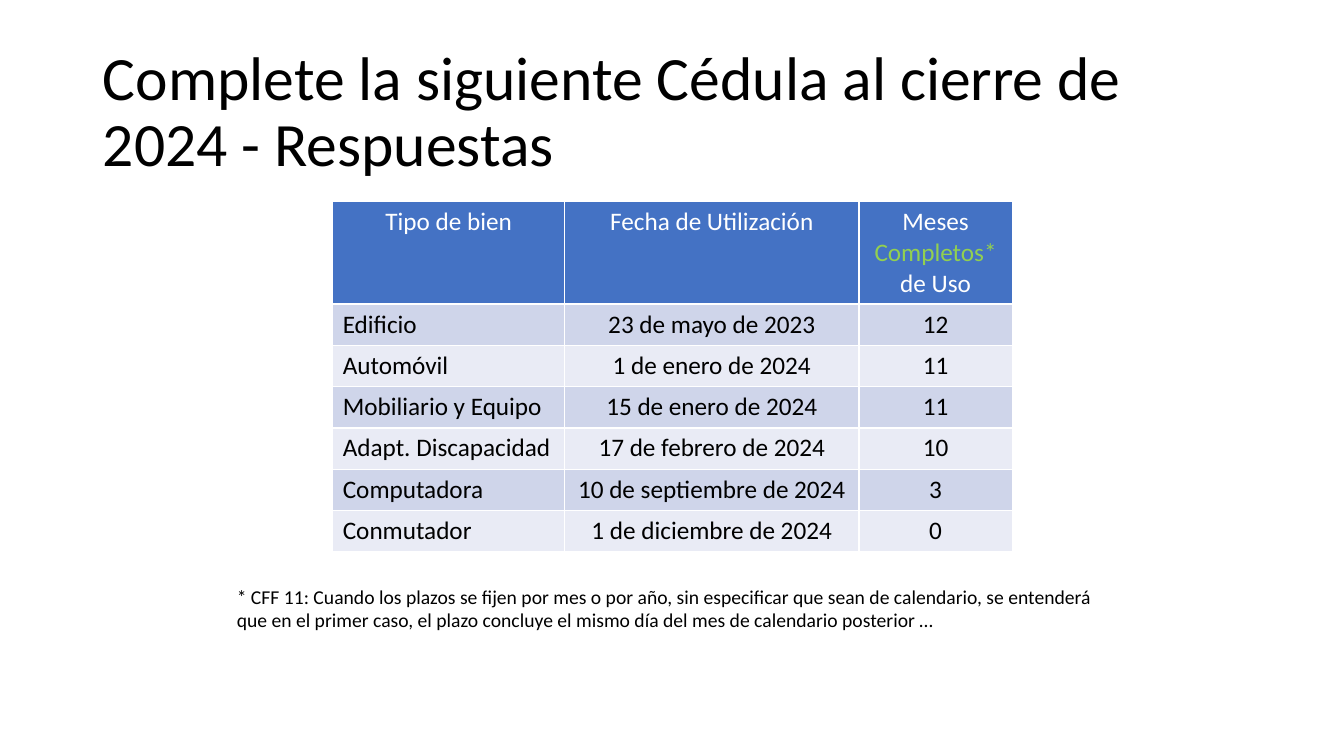
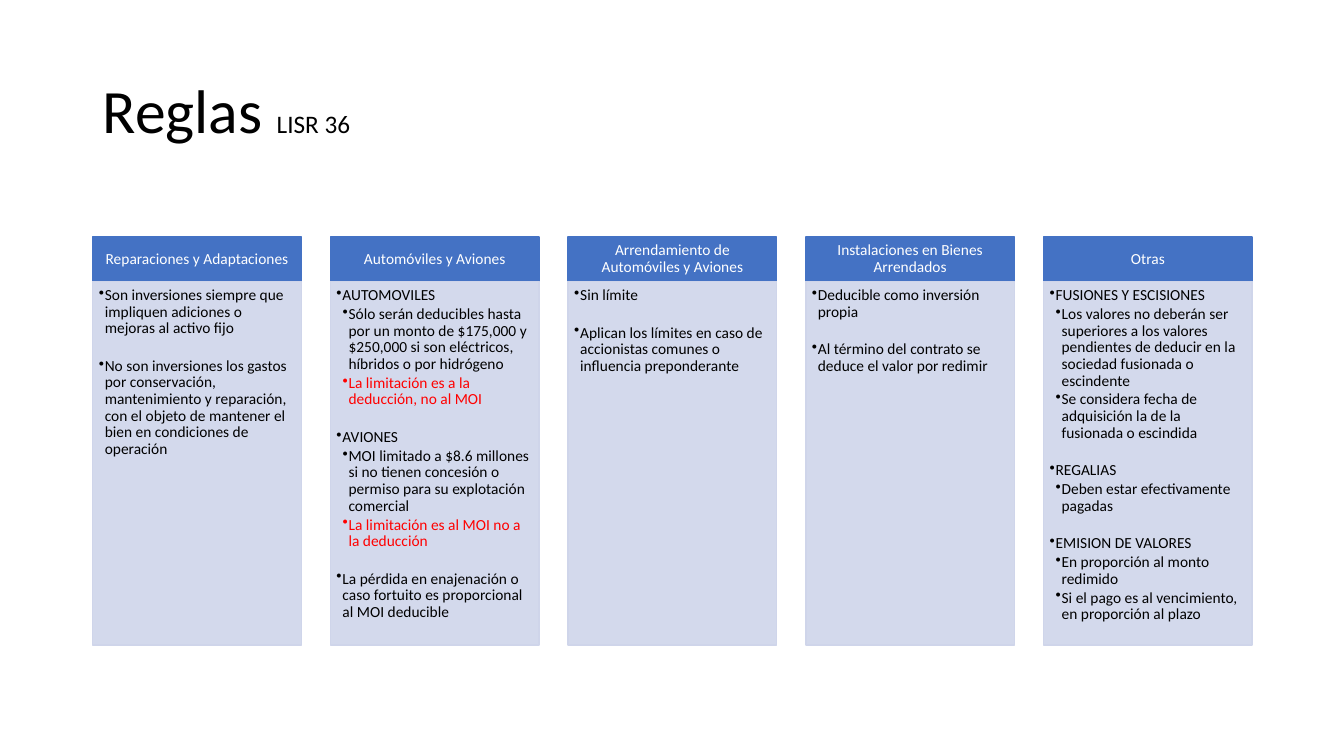
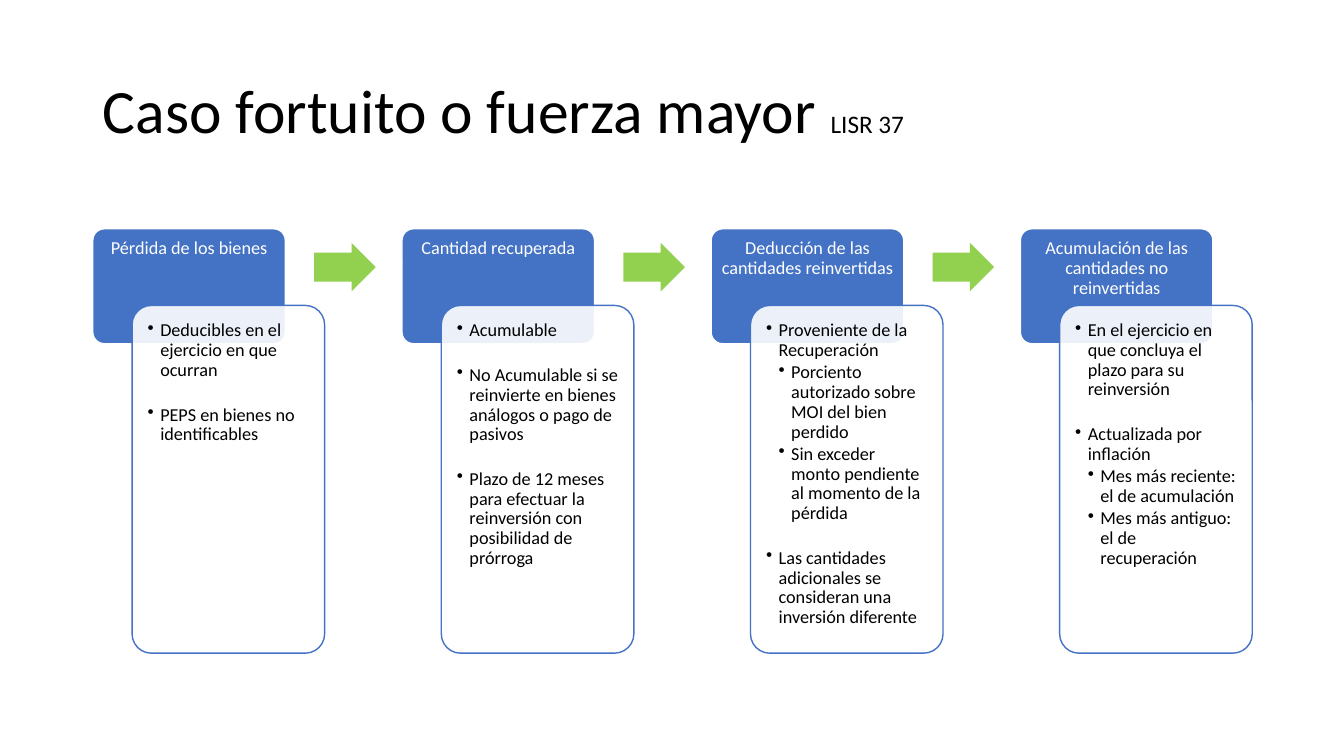
from dataclasses import dataclass
from typing import Any, Iterator

from lxml import etree
from pptx import Presentation
from pptx import util as u
from pptx.dml.color import RGBColor
from pptx.enum import shapes, text
from pptx.oxml.ns import qn


@dataclass(frozen=True)
class Theme:
    font: str = "Calibri"
    blue: str = "4472C4"
    band_dark: str = "CFD5EA"
    band_light: str = "E9EBF5"
    green: str = "92D050"
    red: str = "FF0000"
    white: str = "FFFFFF"
    black: str = "000000"
    title: float = 44
    body: float = 18
    note: float = 14
    step: float = 13
    rule: float = 11
    panel_opacity: int = 90


THEME = Theme()
SLIDE_W, SLIDE_H = 13.33, 7.5
MARGIN, CONTENT_W = 0.92, 11.5


@dataclass(frozen=True)
class Box:
    left: float
    top: float
    width: float
    height: float

    def emu(self) -> tuple[int, ...]:
        return tuple(u.Inches(v) for v in (self.left, self.top, self.width, self.height))


@dataclass(frozen=True)
class Run:
    text: str
    size: float
    color: str = THEME.black


@dataclass(frozen=True)
class Item:
    text: str
    level: int = 1
    opens_group: bool = False
    color: str = THEME.black


@dataclass(frozen=True)
class Topic:
    heading: str
    items: tuple[Item, ...]


@dataclass(frozen=True)
class ListStyle:
    """Type size and indent step, with point gaps after items and before groups."""
    size: float
    indent: float
    after: float
    group_gap: float


RULE_LIST = ListStyle(THEME.rule, 0.06, 1.65, 13.2)
STEP_LIST = ListStyle(THEME.step, 0.125, 1.95, 16)

TITLE_BOX = Box(MARGIN, 0.4, CONTENT_W, 1.45)
TABLE_BOX = Box(3.3, 2, 6.74, 3.46)
NOTE_BOX = Box(2.25, 5.75, 8.82, 0.57)
TABLE_COLUMNS = (2.3, 2.92, 1.52)
HEADER_ROW, ASSET_ROW = 1, 0.41

ASSET_HEADER = (
    (Run("Tipo de bien", THEME.body, THEME.white),),
    (Run("Fecha de Utilización", THEME.body, THEME.white),),
    (Run("Meses ", THEME.body, THEME.white),
     Run("Completos*", THEME.body, THEME.green),
     Run(" de Uso", THEME.body, THEME.white)),
)
ASSETS = (
    ("Edificio", "23 de mayo de 2023", "12"),
    ("Automóvil", "1 de enero de 2024", "11"),
    ("Mobiliario y Equipo", "15 de enero de 2024", "11"),
    ("Adapt. Discapacidad", "17 de febrero de 2024", "10"),
    ("Computadora", "10 de septiembre de 2024", "3"),
    ("Conmutador", "1 de diciembre de 2024", "0"),
)
FOOTNOTE = (
    "* CFF 11: Cuando los plazos se fijen por mes o por año, sin especificar que sean "
    "de calendario, se entenderá que en el primer caso, el plazo concluye el mismo día "
    "del mes de calendario posterior …"
)

RULES = (
    Topic("Reparaciones y Adaptaciones", (
        Item("Son inversiones siempre que impliquen adiciones o mejoras al activo fijo"),
        Item("No son inversiones los gastos por conservación, mantenimiento y reparación, "
             "con el objeto de mantener el bien en condiciones de operación", opens_group=True),
    )),
    Topic("Automóviles y Aviones", (
        Item("AUTOMOVILES"),
        Item("Sólo serán deducibles hasta por un monto de $175,000 y $250,000 si son "
             "eléctricos, híbridos o por hidrógeno", 2),
        Item("La limitación es a la deducción, no al MOI", 2, color=THEME.red),
        Item("AVIONES", opens_group=True),
        Item("MOI limitado a $8.6 millones si no tienen concesión o permiso para su "
             "explotación comercial", 2),
        Item("La limitación es al MOI no a la deducción", 2, color=THEME.red),
        Item("La pérdida en enajenación o caso fortuito es proporcional al MOI deducible",
             opens_group=True),
    )),
    Topic("Arrendamiento de Automóviles y Aviones", (
        Item("Sin límite"),
        Item("Aplican los límites en caso de accionistas comunes o influencia preponderante",
             opens_group=True),
    )),
    Topic("Instalaciones en Bienes Arrendados", (
        Item("Deducible como inversión propia"),
        Item("Al término del contrato se deduce el valor por redimir", opens_group=True),
    )),
    Topic("Otras", (
        Item("FUSIONES Y ESCISIONES"),
        Item("Los valores no deberán ser superiores a los valores pendientes de deducir en "
             "la sociedad fusionada o escindente", 2),
        Item("Se considera fecha de adquisición la de la fusionada o escindida", 2),
        Item("REGALIAS", opens_group=True),
        Item("Deben estar efectivamente pagadas", 2),
        Item("EMISION DE VALORES", opens_group=True),
        Item("En proporción al monto redimido", 2),
        Item("Si el pago es al vencimiento, en proporción al plazo", 2),
    )),
)

STEPS = (
    Topic("Pérdida de los bienes", (
        Item("Deducibles en el ejercicio en que ocurran"),
        Item("PEPS en bienes no identificables", opens_group=True),
    )),
    Topic("Cantidad recuperada", (
        Item("Acumulable"),
        Item("No Acumulable si se reinvierte en bienes análogos o pago de pasivos",
             opens_group=True),
        Item("Plazo de 12 meses para efectuar la reinversión con posibilidad de prórroga",
             opens_group=True),
    )),
    Topic("Deducción de las cantidades reinvertidas", (
        Item("Proveniente de la Recuperación"),
        Item("Porciento autorizado sobre MOI del bien perdido", 2),
        Item("Sin exceder monto pendiente al momento de la pérdida", 2),
        Item("Las cantidades adicionales se consideran una inversión diferente",
             opens_group=True),
    )),
    Topic("Acumulación de las cantidades no reinvertidas", (
        Item("En el ejercicio en que concluya el plazo para su reinversión"),
        Item("Actualizada por inflación", opens_group=True),
        Item("Mes más reciente: el de acumulación", 2),
        Item("Mes más antiguo: el de recuperación", 2),
    )),
)


def apply(target: Any, formats: dict[str, Any]) -> None:
    for attribute, value in formats.items():
        setattr(target, attribute, value)


def column_lefts(count: int, width: float) -> Iterator[float]:
    """Left edges of equal columns spread over the content width."""
    pitch = (CONTENT_W - width) / (count - 1)
    return (MARGIN + index * pitch for index in range(count))


def add_runs(paragraph: Any, *runs: Run) -> None:
    for part in runs:
        run = paragraph.add_run()
        run.text = part.text
        apply(run.font, {"name": THEME.font, "size": u.Pt(part.size), "bold": False})
        run.font.color.rgb = RGBColor.from_string(part.color)


def set_frame(frame: Any, insets: tuple[float, ...],
              anchor: Any = text.MSO_ANCHOR.TOP) -> None:
    sides = ("margin_left", "margin_top", "margin_right", "margin_bottom")
    apply(frame, {"word_wrap": True, "auto_size": text.MSO_AUTO_SIZE.NONE,
                  "vertical_anchor": anchor,
                  **{side: u.Inches(inset) for side, inset in zip(sides, insets)}})


def add_block(slide: Any, kind: Any, box: Box, fill: str, line: str | None = None,
              adjustments: tuple[float, ...] = (), opacity: int = 100) -> Any:
    block = slide.shapes.add_shape(kind, *box.emu())
    block.shadow.inherit = False
    block.fill.solid()
    block.fill.fore_color.rgb = RGBColor.from_string(fill)
    if line:
        block.line.color.rgb = RGBColor.from_string(line)
        block.line.width = u.Pt(1)
    else:
        block.line.fill.background()
    for index, value in enumerate(adjustments):
        block.adjustments[index] = value
    if opacity < 100:
        color = block.element.spPr.find(qn("a:solidFill")).find(qn("a:srgbClr"))
        etree.SubElement(color, qn("a:alpha"), val=str(opacity * 1000))
    return block


def write_heading(block: Any, heading: str, size: float, insets: tuple[float, ...],
                  anchor: Any) -> None:
    set_frame(block.text_frame, insets, anchor)
    paragraph = block.text_frame.paragraphs[0]
    apply(paragraph, {"alignment": text.PP_ALIGN.CENTER, "line_spacing": 0.9})
    add_runs(paragraph, Run(heading, size, THEME.white))


def write_list(block: Any, items: tuple[Item, ...], style: ListStyle,
               insets: tuple[float, ...]) -> None:
    frame = block.text_frame
    set_frame(frame, insets)
    for index, item in enumerate(items):
        paragraph = frame.add_paragraph() if index else frame.paragraphs[0]
        properties = paragraph._p.get_or_add_pPr()
        properties.set("marL", str(u.Inches(style.indent * item.level)))
        properties.set("indent", str(-u.Inches(style.indent)))
        etree.SubElement(properties, qn("a:buChar"), char="•")
        apply(paragraph, {
            "level": item.level, "alignment": text.PP_ALIGN.LEFT, "line_spacing": 0.9,
            "space_before": u.Pt(style.group_gap if item.opens_group else 0),
            "space_after": u.Pt(style.after)})
        add_runs(paragraph, Run(item.text, style.size, item.color))


def add_titled_slide(deck: Any, title: str, article: str = "") -> Any:
    slide = deck.slides.add_slide(deck.slide_layouts[5])
    heading = slide.shapes.title
    apply(heading, dict(zip(("left", "top", "width", "height"), TITLE_BOX.emu())))
    set_frame(heading.text_frame, (0.1, 0.05, 0.1, 0.05), text.MSO_ANCHOR.MIDDLE)
    paragraph = heading.text_frame.paragraphs[0]
    apply(paragraph, {"alignment": text.PP_ALIGN.LEFT, "line_spacing": 0.9})
    add_runs(paragraph, Run(title, THEME.title))
    if article:
        add_runs(paragraph, Run(article, THEME.body))
    return slide


def border_cell(cell: Any) -> None:
    """Put white one-point borders ahead of the cell's fill, as the schema orders."""
    properties = cell._tc.get_or_add_tcPr()
    for index, side in enumerate(("lnL", "lnR", "lnT", "lnB")):
        line = etree.Element(qn(f"a:{side}"), w=str(u.Pt(1)))
        fill = etree.SubElement(line, qn("a:solidFill"))
        etree.SubElement(fill, qn("a:srgbClr"), val=THEME.white)
        properties.insert(index, line)


def fill_cell(cell: Any, runs: tuple[Run, ...], color: str, centred: bool) -> None:
    cell.fill.solid()
    cell.fill.fore_color.rgb = RGBColor.from_string(color)
    border_cell(cell)
    paragraph = cell.text_frame.paragraphs[0]
    paragraph.alignment = text.PP_ALIGN.CENTER if centred else text.PP_ALIGN.LEFT
    add_runs(paragraph, *runs)


def build_answers(deck: Any) -> None:
    slide = add_titled_slide(deck, "Complete la siguiente Cédula al cierre de 2024 - Respuestas")
    table = slide.shapes.add_table(len(ASSETS) + 1, len(TABLE_COLUMNS), *TABLE_BOX.emu()).table
    apply(table, {"first_row": False, "horz_banding": False})
    for column, width in zip(table.columns, TABLE_COLUMNS):
        column.width = u.Inches(width)
    for index, row in enumerate(table.rows):
        row.height = u.Inches(ASSET_ROW if index else HEADER_ROW)
    for column, runs in enumerate(ASSET_HEADER):
        fill_cell(table.cell(0, column), runs, THEME.blue, True)
    for row, asset in enumerate(ASSETS, start=1):
        band = THEME.band_dark if row % 2 else THEME.band_light
        for column, value in enumerate(asset):
            fill_cell(table.cell(row, column), (Run(value, THEME.body),), band, column > 0)
    note = slide.shapes.add_textbox(*NOTE_BOX.emu()).text_frame
    set_frame(note, (0.1, 0.05, 0.1, 0.05))
    add_runs(note.paragraphs[0], Run(FOOTNOTE, THEME.note))


def build_rules(deck: Any) -> None:
    slide = add_titled_slide(deck, "Reglas ", "LISR 36")
    top, width, head_height, panel_height = 2.35, 2.07, 0.44, 3.61
    rectangle = shapes.MSO_SHAPE.RECTANGLE
    for left, topic in zip(column_lefts(len(RULES), width), RULES):
        head = add_block(slide, rectangle, Box(left, top, width, head_height),
                         THEME.blue, THEME.blue)
        write_heading(head, topic.heading, THEME.rule, (0.09, 0.05, 0.09, 0.05),
                      text.MSO_ANCHOR.MIDDLE)
        panel = add_block(slide, rectangle, Box(left, top + head_height, width, panel_height),
                          THEME.band_dark, THEME.band_dark, opacity=THEME.panel_opacity)
        write_list(panel, topic.items, RULE_LIST, (0.06, 0.06, 0.09, 0.1))


def build_steps(deck: Any) -> None:
    slide = add_titled_slide(deck, "Caso fortuito o fuerza mayor ", "LISR 37")
    top, width, offset_x, offset_y = 2.27, 1.91, 0.39, 0.76
    rounded = shapes.MSO_SHAPE.ROUNDED_RECTANGLE
    for index, (left, topic) in enumerate(zip(column_lefts(len(STEPS), width + offset_x), STEPS)):
        if index:
            add_block(slide, shapes.MSO_SHAPE.RIGHT_ARROW, Box(left - 0.87, 2.41, 0.61, 0.48),
                      THEME.green, adjustments=(0.6, 0.5))
        head = add_block(slide, rounded, Box(left, top, width, 1.14),
                         THEME.blue, THEME.white, (0.1,))
        write_heading(head, topic.heading, THEME.step, (0.07, 0.07, 0.07, 0.05),
                      text.MSO_ANCHOR.TOP)
        card = add_block(slide, rounded, Box(left + offset_x, top + offset_y, width, 3.45),
                         THEME.white, THEME.blue, (0.1,), THEME.panel_opacity)
        write_list(card, topic.items, STEP_LIST, (0.1, 0.1, 0.1, 0.1))


def main() -> None:
    deck = Presentation()
    apply(deck, {"slide_width": u.Inches(SLIDE_W), "slide_height": u.Inches(SLIDE_H)})
    for build in (build_answers, build_rules, build_steps):
        build(deck)
    deck.save("out.pptx")


if __name__ == "__main__":
    main()
